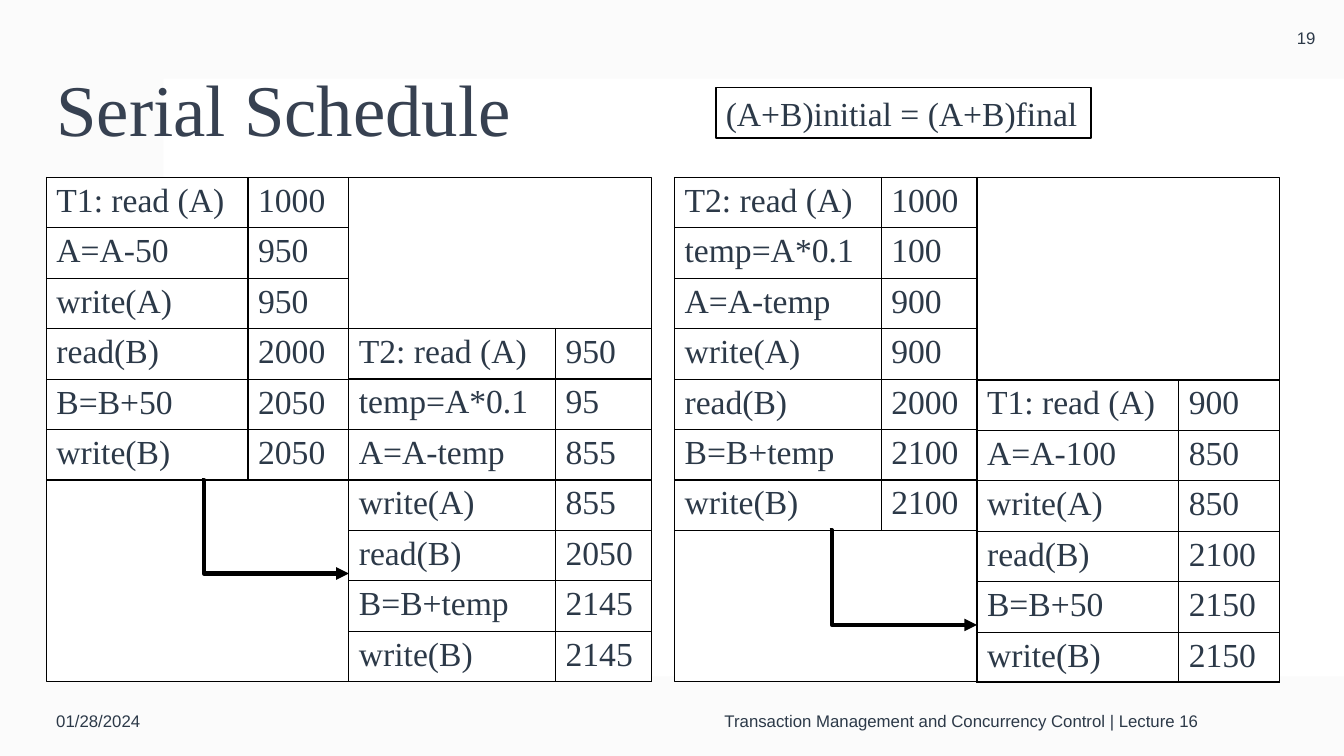
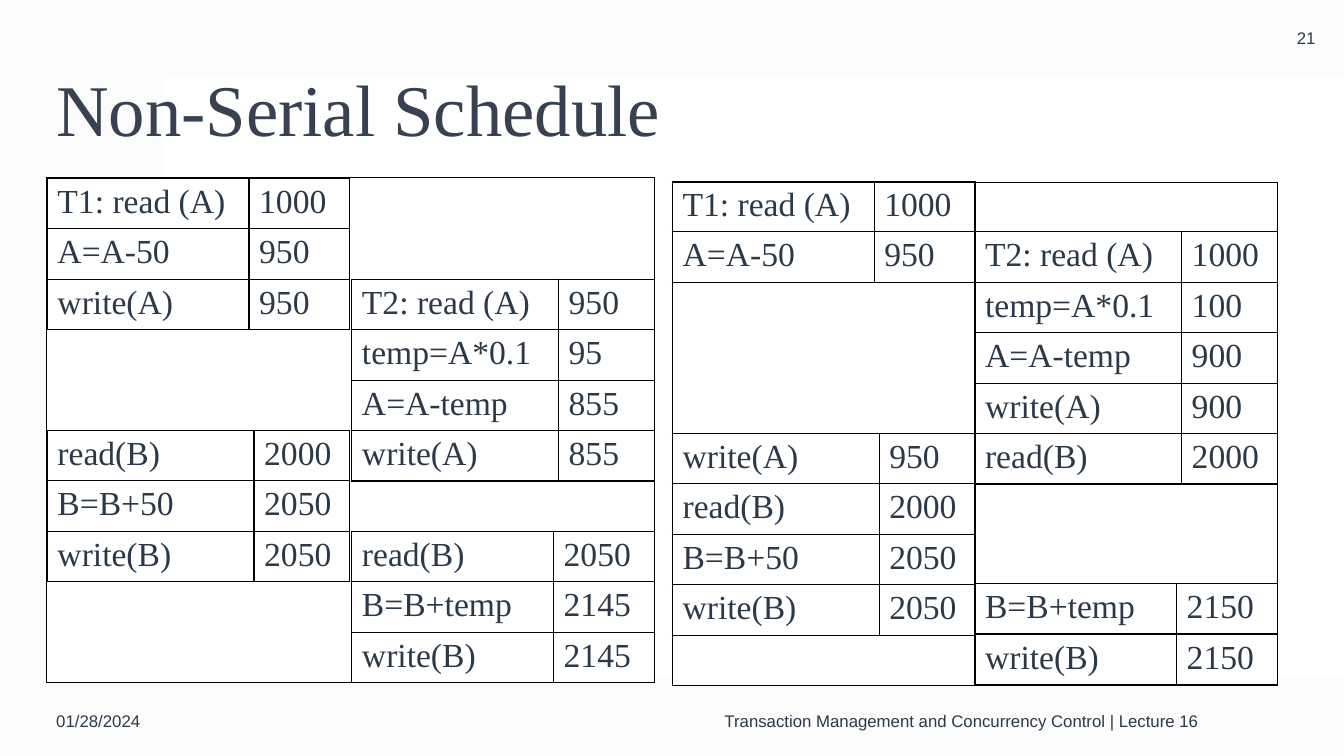
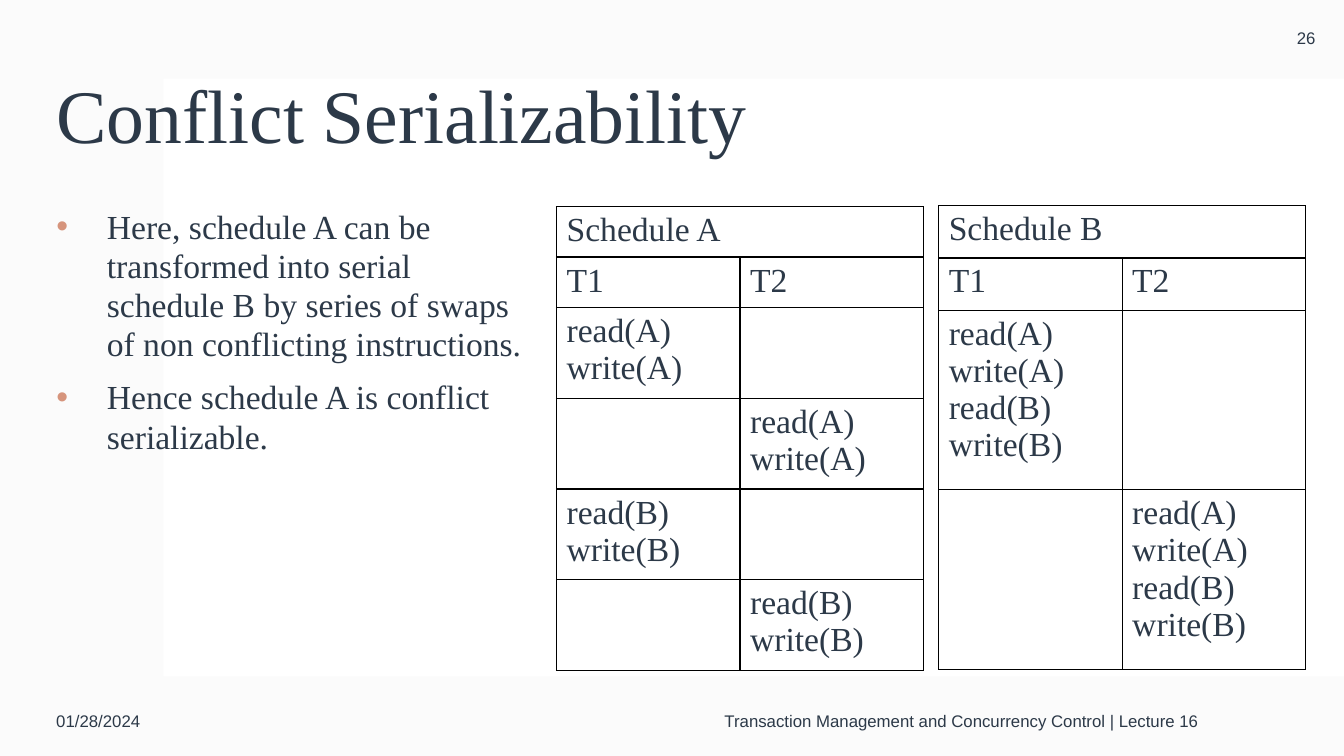
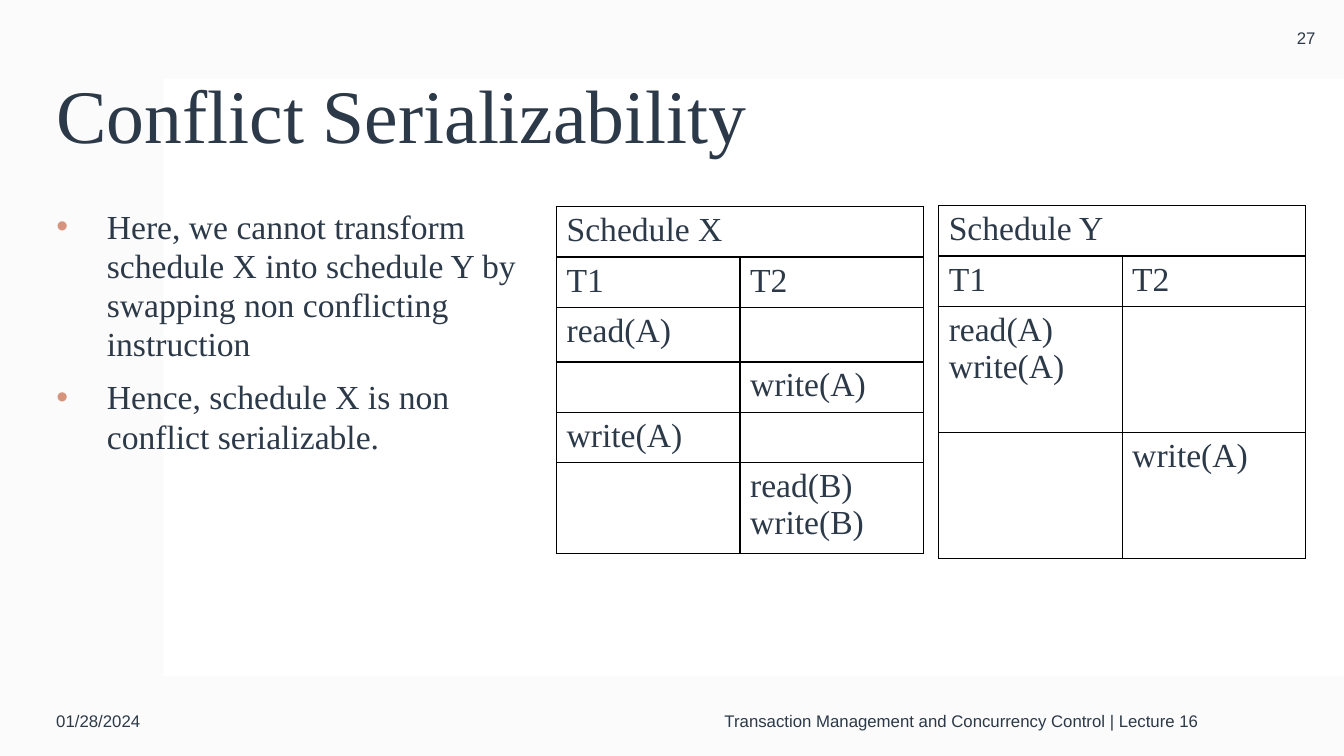
from lxml import etree
from pptx import Presentation
from pptx.dml.color import RGBColor
from pptx.enum.shapes import MSO_CONNECTOR, MSO_SHAPE
from pptx.enum.text import MSO_ANCHOR, MSO_AUTO_SIZE, PP_ALIGN
from pptx.oxml.ns import qn
from pptx.util import Inches, Pt

RECTANGLE = MSO_SHAPE.RECTANGLE
ELBOW = MSO_CONNECTOR.ELBOW
MIDDLE = MSO_ANCHOR.MIDDLE
LEFT, CENTER, RIGHT = PP_ALIGN.LEFT, PP_ALIGN.CENTER, PP_ALIGN.RIGHT
NO_FIT, GROW = MSO_AUTO_SIZE.NONE, MSO_AUTO_SIZE.SHAPE_TO_FIT_TEXT

COLORS = {
    "text": "2C3948",
    "title": "374151",
    "bullet": "D6947C",
    "band": "F4F4F4",
    "paper": "FFFFFF",
    "line": "000000",
}
SERIF, SANS = "Times New Roman", "Arial"
TITLE_ONLY, TITLE_AND_BODY = 5, 1
ROW = 0.47
WIDE, NARROW = (2, 1), (2.05, 0.95)
SCHEDULE_COLUMNS = (1.82, 1.82)


def color(name):
    return RGBColor.from_string(COLORS[name])


def style(para, size, font=SERIF, name="text"):
    para.font.size = Pt(size)
    para.font.name = font
    para.font.color.rgb = color(name)


def place(shape, left, top, width, height):
    shape.left, shape.top = Inches(left), Inches(top)
    shape.width, shape.height = Inches(width), Inches(height)


def add_rectangle(page, left, top, width, height, fill="paper", outlined=True):
    box = page.shapes.add_shape(RECTANGLE, Inches(left), Inches(top),
                                Inches(width), Inches(height))
    box.shadow.inherit = False
    box.fill.solid()
    box.fill.fore_color.rgb = color(fill)
    if outlined:
        box.line.color.rgb = color("line")
        box.line.width = Pt(1)
    else:
        box.line.fill.background()
    return box


def add_small_text(page, text, left, top, width, height, align):
    box = page.shapes.add_textbox(Inches(left), Inches(top),
                                  Inches(width), Inches(height))
    frame = box.text_frame
    frame.word_wrap = True
    frame.vertical_anchor = MIDDLE
    frame.text = text
    para = frame.paragraphs[0]
    para.alignment = align
    style(para, 12, SANS)
    return box


def add_formula(page, text, left, top, width, height):
    box = add_rectangle(page, left, top, width, height)
    frame = box.text_frame
    frame.word_wrap = False
    frame.auto_size = GROW
    frame.vertical_anchor = MSO_ANCHOR.TOP
    frame.text = text
    para = frame.paragraphs[0]
    para.alignment = LEFT
    style(para, 24)


def add_borders(cell):
    props = cell._tc.get_or_add_tcPr()
    for side in ("a:lnL", "a:lnR", "a:lnT", "a:lnB"):
        border = etree.SubElement(props, qn(side), w=str(Pt(1)))
        fill = etree.SubElement(border, qn("a:solidFill"))
        etree.SubElement(fill, qn("a:srgbClr"), val=COLORS["line"])


def add_grid(page, left, top, widths, heights, rows):
    """Bordered table; a row with one text spans all columns."""
    table = page.shapes.add_table(
        len(rows), len(widths), Inches(left), Inches(top),
        Inches(sum(widths)), Inches(sum(heights))).table
    table.first_row = table.horz_banding = False
    for column, width in zip(table.columns, widths):
        column.width = Inches(width)
    for index, (height, texts) in enumerate(zip(heights, rows)):
        table.rows[index].height = Inches(height)
        if len(texts) == 1:
            table.cell(index, 0).merge(table.cell(index, len(widths) - 1))
        for cell in table.rows[index].cells:
            add_borders(cell)
            cell.fill.background()
        for number, text in enumerate(texts):
            if text:
                frame = table.cell(index, number).text_frame
                frame.text = text
                style(frame.paragraphs[0], 24)


def add_steps(page, left, top, widths, steps):
    """Operations of one transaction with the value after each."""
    add_grid(page, left, top, widths, [ROW] * len(steps), steps)


def add_elbow_arrow(page, left, top, right, bottom):
    arrow = page.shapes.add_connector(ELBOW, Inches(left), Inches(top),
                                      Inches(right), Inches(bottom))
    arrow.line.color.rgb = color("line")
    arrow.line.width = Pt(3)
    etree.SubElement(arrow.line._get_or_add_ln(), qn("a:tailEnd"), type="triangle")
    props = arrow._element.spPr
    etree.SubElement(props, qn("a:effectLst"))
    guides = props.find(qn("a:prstGeom")).find(qn("a:avLst"))
    etree.SubElement(guides, qn("a:gd"), name="adj1", fmla="val 1500")


def fill_master(deck, page):
    """Build the shared bands and footers, then move them to the master."""
    band = add_rectangle(page, 0, 0, 13.33, 7.5, "band", outlined=False)
    tone = band._element.spPr.find(".//" + qn("a:srgbClr"))
    etree.SubElement(tone, qn("a:alpha"), val="35000")
    shared = [
        band,
        add_rectangle(page, 1.62, 0.78, 11.72, 5.93, outlined=False),
        add_small_text(page, "01/28/2024", 0.46, 6.8, 3, 0.7, LEFT),
        add_small_text(page, "Transaction Management and Concurrency Control | Lecture 16",
                       4.12, 6.8, 7.87, 0.7, RIGHT),
    ]
    for number, shape in enumerate(shared, start=101):
        shape._element.nvSpPr.cNvPr.set("id", str(number))
        deck.slide_master.shapes._spTree.append(shape._element)


def add_page(deck, layout, title, number, size, name):
    page = deck.slides.add_slide(deck.slide_layouts[layout])
    heading = page.shapes.title
    place(heading, 0.46, 0.4, 11.53, 1.45)
    frame = heading.text_frame
    frame.auto_size = NO_FIT
    frame.vertical_anchor = MIDDLE
    frame.text = title
    para = frame.paragraphs[0]
    para.alignment = LEFT
    style(para, size, name=name)
    add_small_text(page, number, 12.58, 0, 0.75, 0.75, CENTER)
    return page


def add_schedule_page(deck, title, number):
    page = add_page(deck, TITLE_ONLY, title, number, 52, "title")
    page.shapes.title.text_frame.paragraphs[0].line_spacing = 0.9
    return page


def add_bullets(page, texts):
    body = page.placeholders[1]
    place(body, 0.46, 2, 4.91, 4.6)
    frame = body.text_frame
    frame.auto_size = NO_FIT
    frame.text = "\n".join(texts)
    for index, para in enumerate(frame.paragraphs):
        para.line_spacing = Pt(28)
        para.space_before = Pt(10 if index else 0)
        props = para._p.get_or_add_pPr()
        props.set("marL", str(Inches(0.5)))
        props.set("indent", str(-Inches(0.5)))
        tint = etree.SubElement(props, qn("a:buClr"))
        etree.SubElement(tint, qn("a:srgbClr"), val=COLORS["bullet"])
        etree.SubElement(props, qn("a:buFont"), typeface=SANS)
        etree.SubElement(props, qn("a:buChar"), char="•")
        style(para, 24)


def add_conflict_page(deck, number, bullets, left_schedule, right_schedule):
    page = add_page(deck, TITLE_AND_BODY, "Conflict Serializability", number, 54, "text")
    add_bullets(page, bullets)
    for left, top, (name, heights, rows) in ((5.52, 2.05, left_schedule),
                                             (9.31, 2.04, right_schedule)):
        add_grid(page, left, top, SCHEDULE_COLUMNS, heights,
                 [(name,), ("T1", "T2"), *rows])


def main():
    deck = Presentation()
    deck.slide_width, deck.slide_height = Inches(13.33), Inches(7.5)

    # Serial schedules
    page = add_schedule_page(deck, "Serial Schedule", "19")
    fill_master(deck, page)
    for left in (0.46, 6.69):
        add_rectangle(page, left, 1.76, 6, 5)
    add_steps(page, 0.46, 1.76, WIDE, [
        ("T1: read (A)", "1000"), ("A=A-50", "950"), ("write(A)", "950"),
        ("read(B)", "2000"), ("B=B+50", "2050"), ("write(B)", "2050")])
    add_steps(page, 3.46, 3.26, NARROW, [
        ("T2: read (A)", "950"), ("temp=A*0.1", "95"), ("A=A-temp", "855"),
        ("write(A)", "855"), ("read(B)", "2050"), ("B=B+temp", "2145"),
        ("write(B)", "2145")])
    add_steps(page, 6.69, 1.76, NARROW, [
        ("T2: read (A)", "1000"), ("temp=A*0.1", "100"), ("A=A-temp", "900"),
        ("write(A)", "900"), ("read(B)", "2000"), ("B=B+temp", "2100"),
        ("write(B)", "2100")])
    add_steps(page, 9.69, 3.77, WIDE, [
        ("T1: read (A)", "900"), ("A=A-100", "850"), ("write(A)", "850"),
        ("read(B)", "2100"), ("B=B+50", "2150"), ("write(B)", "2150")])
    add_elbow_arrow(page, 2, 4.76, 3.46, 5.69)
    add_elbow_arrow(page, 8.23, 5.26, 9.69, 6.2)
    add_formula(page, "(A+B)initial = (A+B)final", 7.1, 0.87, 3.72, 0.5)

    # Non-serial schedules
    page = add_schedule_page(deck, "Non-Serial Schedule", "21")
    add_rectangle(page, 0.46, 1.76, 6.03, 5.01)
    add_rectangle(page, 6.67, 1.81, 6, 4.99)
    add_steps(page, 0.47, 1.77, WIDE, [
        ("T1: read (A)", "1000"), ("A=A-50", "950"), ("write(A)", "950")])
    add_steps(page, 0.47, 4.27, NARROW, [
        ("read(B)", "2000"), ("B=B+50", "2050"), ("write(B)", "2050")])
    add_steps(page, 3.49, 5.27, WIDE, [
        ("read(B)", "2050"), ("B=B+temp", "2145"), ("write(B)", "2145")])
    add_steps(page, 3.49, 2.77, NARROW, [
        ("T2: read (A)", "950"), ("temp=A*0.1", "95"), ("A=A-temp", "855"),
        ("write(A)", "855")])
    add_steps(page, 6.67, 1.8, WIDE, [("T1: read (A)", "1000"), ("A=A-50", "950")])
    add_steps(page, 6.67, 4.3, NARROW, [
        ("write(A)", "950"), ("read(B)", "2000"), ("B=B+50", "2050"),
        ("write(B)", "2050")])
    add_steps(page, 9.67, 2.3, NARROW, [
        ("T2: read (A)", "1000"), ("temp=A*0.1", "100"), ("A=A-temp", "900"),
        ("write(A)", "900"), ("read(B)", "2000")])
    add_steps(page, 9.67, 5.79, WIDE, [("B=B+temp", "2150"), ("write(B)", "2150")])

    # Conflict serializability; \v breaks a line inside a cell
    use_a, use_b = "read(A)\vwrite(A)", "read(B)\vwrite(B)"
    use_both = use_a + "\v" + use_b
    add_conflict_page(
        deck, "26",
        ["Here, schedule A can be transformed into serial schedule B by series of "
         "swaps of non conflicting instructions.",
         "Hence schedule A is conflict serializable."],
        ("Schedule A", [ROW] * 2 + [0.84] * 4,
         [(use_a, ""), ("", use_a), (use_b, ""), ("", use_b)]),
        ("Schedule B", [0.52] * 2 + [1.78] * 2,
         [(use_both, ""), ("", use_both)]))
    add_conflict_page(
        deck, "27",
        ["Here, we cannot transform schedule X into schedule Y by swapping non "
         "conflicting instruction",
         "Hence, schedule X is non conflict serializable."],
        ("Schedule X", [ROW, ROW, 0.54, ROW, ROW, 0.84],
         [("read(A)", ""), ("", "write(A)"), ("write(A)", ""), ("", use_b)]),
        ("Schedule Y", [ROW] * 2 + [1.25] * 2,
         [(use_a, ""), ("", "write(A)")]))

    deck.save("out.pptx")


if __name__ == "__main__":
    main()
